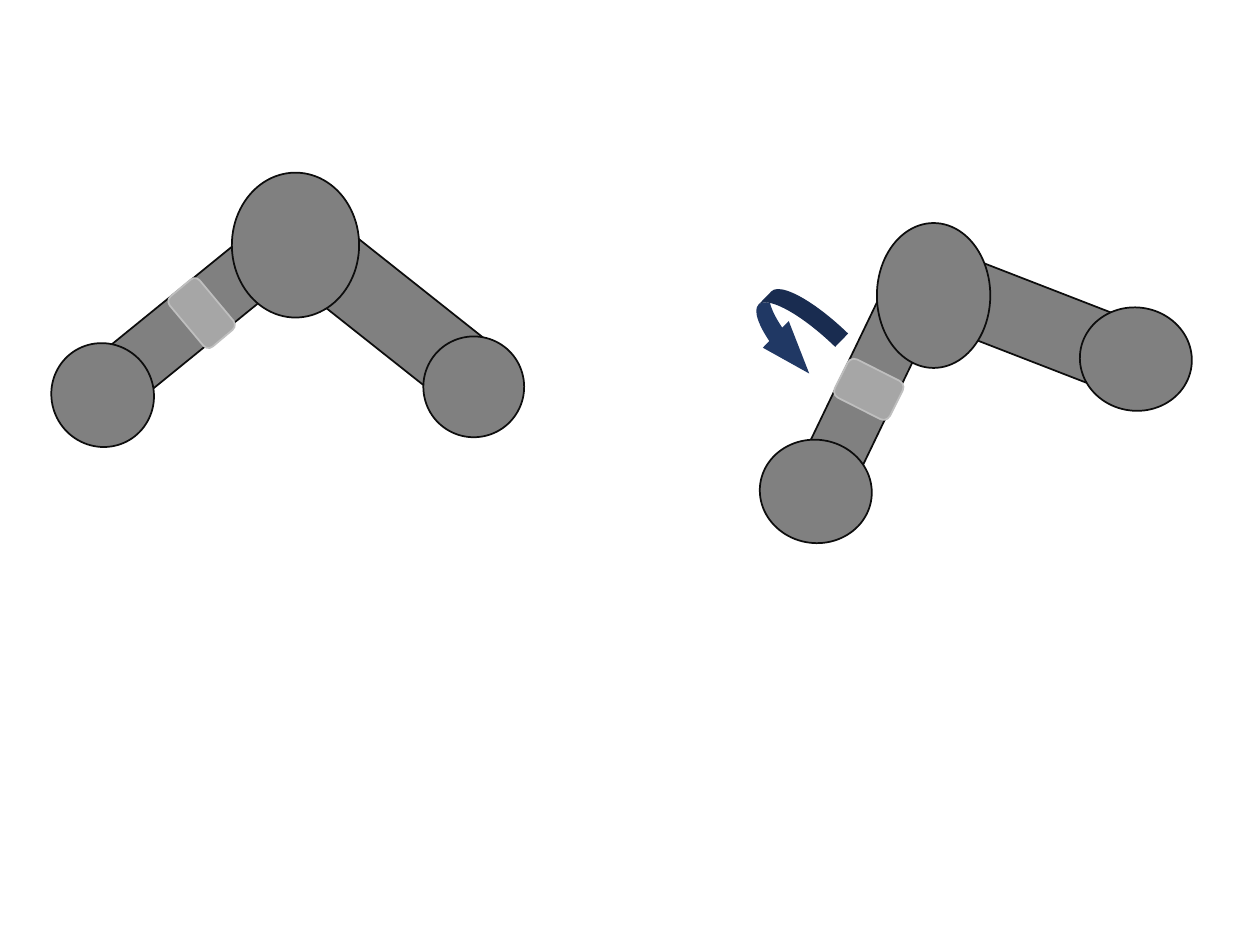
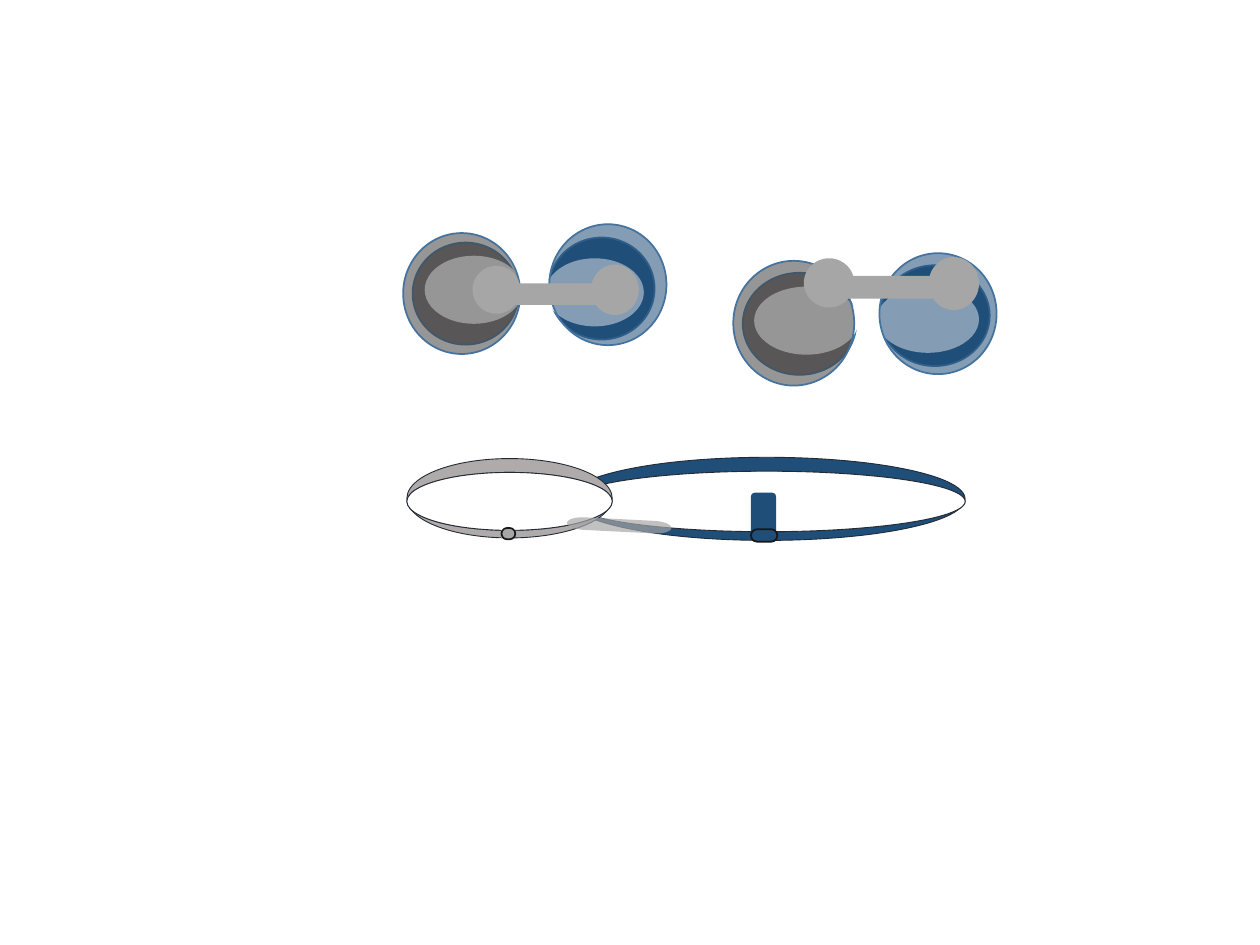
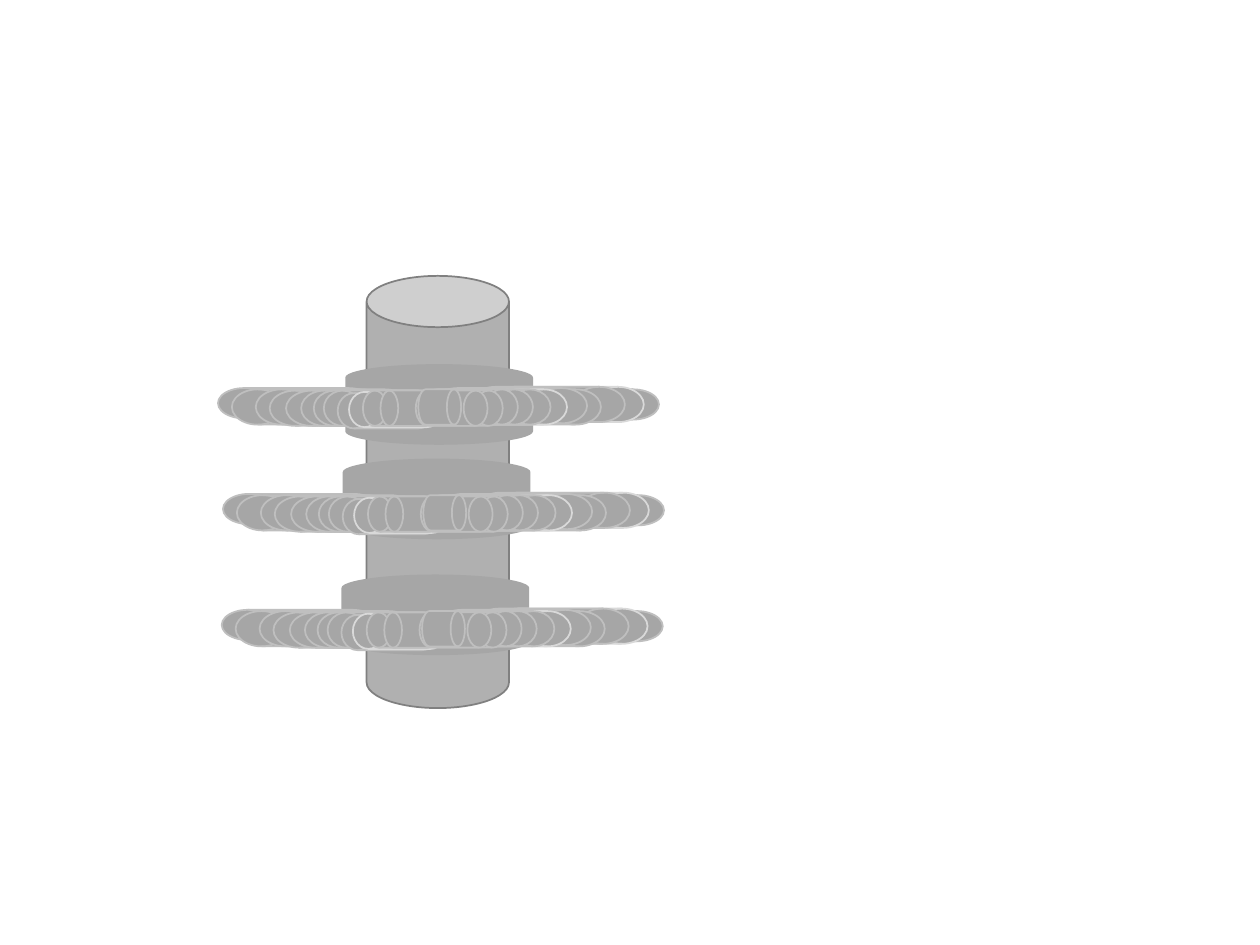
from dataclasses import dataclass

from lxml import etree
from pptx import Presentation
from pptx.dml.color import RGBColor
from pptx.enum.shapes import MSO_SHAPE
from pptx.oxml.ns import qn
from pptx.util import Pt

EMU_PER_PX = 9144  # 100 px to the inch
SLIDE_SIZE = (1000, 750)
BLANK_LAYOUT = 6

ARC = MSO_SHAPE.ARC
CAN = MSO_SHAPE.CAN
CURVED_ARROW = MSO_SHAPE.CURVED_UP_ARROW
DISK = MSO_SHAPE.FLOWCHART_MAGNETIC_DISK
DRUM = MSO_SHAPE.FLOWCHART_DIRECT_ACCESS_STORAGE
ELLIPSE = MSO_SHAPE.OVAL
JOINT = MSO_SHAPE.FLOWCHART_CONNECTOR
ROUNDED = MSO_SHAPE.ROUNDED_RECTANGLE


@dataclass(frozen=True)
class Theme:
    white: str = "FFFFFF"
    steel: str = "808080"
    silver: str = "A6A6A6"
    silver_edge: str = "BFBFBF"
    pale_edge: str = "D9D9D9"
    black_edge: str = "0D0D0D"
    arrow: str = "203864"
    blue: str = "1F4E79"
    blue_edge: str = "43739E"
    brown_grey: str = "767171"
    charcoal: str = "404040"
    ring_grey: str = "AFABAB"
    ring_edge: str = "222A35"
    clasp_edge: str = "181717"
    line: float = 1
    thin_line: float = 0.5


THEME = Theme()

# Turbine blades: left offset, top offset, width, outline; measured from the hub.
LEFT_BLADES = [
    (-95, 28, 124, THEME.silver_edge), (-84, 29, 123, THEME.silver_edge),
    (-65, 29, 123, THEME.silver_edge), (-54, 30, 121, THEME.silver_edge),
    (-41, 30, 123, THEME.silver_edge), (-29, 30, 111, THEME.silver_edge),
    (-19, 30, 100, THEME.silver_edge), (-11, 30, 90, THEME.silver_edge),
    (0, 32, 77, THEME.silver_edge), (9, 31, 74, THEME.pale_edge),
    (20, 30, 57, THEME.silver_edge), (34, 30, 42, THEME.silver_edge),
]
RIGHT_BLADES = [
    (131, 29, 124, THEME.silver_edge), (120, 27, 123, THEME.pale_edge),
    (105, 27, 123, THEME.silver_edge), (88, 29, 121, THEME.silver_edge),
    (75, 28, 123, THEME.silver_edge), (71, 29, 111, THEME.pale_edge),
    (69, 29, 100, THEME.silver_edge), (65, 29, 90, THEME.silver_edge),
    (66, 29, 77, THEME.silver_edge), (64, 30, 67, THEME.silver_edge),
    (62, 30, 57, THEME.silver_edge), (64, 29, 34, THEME.silver_edge),
]


def px(length):
    return length * EMU_PER_PX


def add_figure(shapes, kind, box, fill, line=None, line_width=THEME.line,
               rotation=0, flipped=False, opacity=100, adjustments=()):
    """Add a preset shape; box is left, top, width, height before rotation."""
    shape = shapes.add_shape(kind, *map(px, box))
    shape.shadow.inherit = False
    shape.rotation = rotation
    for index, value in enumerate(adjustments):
        shape.adjustments[index] = value
    if flipped:
        shape.element.spPr.find(qn("a:xfrm")).set("flipV", "1")
    shape.fill.solid()
    shape.fill.fore_color.rgb = RGBColor.from_string(fill)
    if opacity < 100:
        color = shape.element.spPr.find(qn("a:solidFill"))[0]
        etree.SubElement(color, qn("a:alpha")).set("val", str(opacity * 1000))
    if line:
        shape.line.color.rgb = RGBColor.from_string(line)
        shape.line.width = Pt(line_width)
    else:
        shape.line.fill.background()
    return shape


def add_rod(shapes, box, rotation, flipped=False):
    add_figure(shapes, DISK, box, THEME.steel, THEME.black_edge,
               rotation=rotation, flipped=flipped)


def add_joint(shapes, box, rotation=0):
    add_figure(shapes, JOINT, box, THEME.steel, THEME.black_edge, rotation=rotation)


def add_sleeve(shapes, box, rotation):
    add_figure(shapes, ROUNDED, box, THEME.silver, THEME.silver_edge, rotation=rotation)


def add_cup(shapes, body, opening, color, rotation):
    """Add a coloured ellipse with a white ellipse opening in it."""
    cup = shapes.add_group_shape().shapes
    add_figure(cup, ELLIPSE, body, color, THEME.blue_edge, rotation=rotation)
    add_figure(cup, ELLIPSE, opening, THEME.white, rotation=rotation)


def add_ring(shapes, outer, inner, color, tab, tab_color, clasp, clasp_color):
    """Add a flat hoop with a tab and a clasp at its lower middle."""
    ring = shapes.add_group_shape().shapes
    for box, fill in ((outer, color), (inner, color), (inner, THEME.white)):
        add_figure(ring, ARC, box, fill, THEME.ring_edge, THEME.thin_line,
                   flipped=True, adjustments=(162, 157.97))
    add_figure(ring, ROUNDED, tab, tab_color)
    add_figure(ring, ROUNDED, clasp, clasp_color, THEME.clasp_edge, adjustments=(0.5,))


def add_barbell(shapes, left_ball, bar, right_ball):
    barbell = shapes.add_group_shape().shapes
    for kind, box in ((ELLIPSE, left_ball), (DRUM, bar), (ELLIPSE, right_ball)):
        add_figure(barbell, kind, box, THEME.silver)


def add_blades(shapes, blades, left, top, rotation):
    for index, (x, y, width, edge) in enumerate(blades):
        height = 28 if index else 24
        add_figure(shapes, DRUM, (left + x, top + y, width, height),
                   THEME.silver, edge, rotation=rotation)


def add_rotor(shapes, hub, blade_origin):
    add_figure(shapes, DISK, (*hub, 149, 64), THEME.silver)
    add_blades(shapes, LEFT_BLADES, *blade_origin, rotation=180)
    add_blades(shapes, RIGHT_BLADES, *blade_origin, rotation=0)


def build_arms_slide(shapes):
    forearm = shapes.add_group_shape().shapes
    add_rod(forearm, (145, 115, 48, 248), 50.9)
    add_joint(forearm, (40, 273, 83, 81), 239.4)
    add_sleeve(forearm, (134, 233, 52, 31), 50.1)
    add_rod(shapes, (667, 180, 46, 251), 25.7)
    add_rod(shapes, (275, 114, 59, 258), 128.4, flipped=True)
    add_joint(shapes, (184, 137, 101, 115))
    add_joint(shapes, (336, 267, 80, 80), 239.4)
    add_figure(shapes, CURVED_ARROW, (599, 229, 59, 67), THEME.arrow,
               rotation=134.2, adjustments=(0.25, 0.92, 0.69))
    add_rod(shapes, (790, 129, 59, 253), 111.2, flipped=True)
    add_joint(shapes, (696, 177, 90, 115))
    add_joint(shapes, (603, 349, 89, 82), 187.6)
    add_sleeve(shapes, (665, 292, 49, 34), 26.8)
    add_joint(shapes, (857, 244, 89, 82), 187.6)


def build_cups_slide(shapes):
    add_cup(shapes, (594, 212, 81, 90), (613, 213, 54, 83), THEME.brown_grey, 90)
    add_cup(shapes, (702, 207, 80, 87), (710, 213, 53, 81), THEME.blue, 270)
    add_cup(shapes, (329, 191, 81, 84), (349, 191, 54, 78), THEME.brown_grey, 90)
    add_cup(shapes, (437, 187, 81, 84), (445, 193, 54, 78), THEME.blue, 270)

    add_ring(shapes, (451, 363, 315, 66), (451, 374, 315, 48), THEME.blue,
             (596, 391, 20, 38), THEME.blue, (596, 420, 21, 10), THEME.blue)
    add_ring(shapes, (323, 364, 163, 63), (323, 375, 163, 46), THEME.ring_grey,
             (398, 391, 10, 37), THEME.white, (398, 419, 11, 9), THEME.silver)
    add_figure(shapes, DRUM, (450, 412, 83, 10), THEME.silver, rotation=2.9, opacity=69)

    for halo, color in (((582, 207, 96, 99), THEME.charcoal),
                        ((698, 201, 93, 96), THEME.blue),
                        ((320, 185, 93, 96), THEME.charcoal),
                        ((436, 178, 93, 96), THEME.blue)):
        add_figure(shapes, ELLIPSE, halo, color, THEME.blue_edge, opacity=55)

    add_barbell(shapes, (638, 205, 40, 39), (657, 219, 102, 18), (737, 204, 40, 42))
    add_barbell(shapes, (375, 211, 38, 38), (393, 225, 97, 17), (469, 210, 38, 40))


def build_rotors_slide(shapes):
    add_figure(shapes, CAN, (291, 219, 113, 343), THEME.silver, THEME.steel,
               opacity=88, adjustments=(0.36,))
    add_rotor(shapes, hub=(272, 364), blade_origin=(272, 364))
    add_rotor(shapes, hub=(274, 289), blade_origin=(268, 280))
    add_rotor(shapes, hub=(271, 456), blade_origin=(271, 456))


def main():
    presentation = Presentation()
    presentation.slide_width, presentation.slide_height = map(px, SLIDE_SIZE)
    layout = presentation.slide_layouts[BLANK_LAYOUT]
    for build in (build_arms_slide, build_cups_slide, build_rotors_slide):
        build(presentation.slides.add_slide(layout).shapes)
    presentation.save("out.pptx")


if __name__ == "__main__":
    main()
